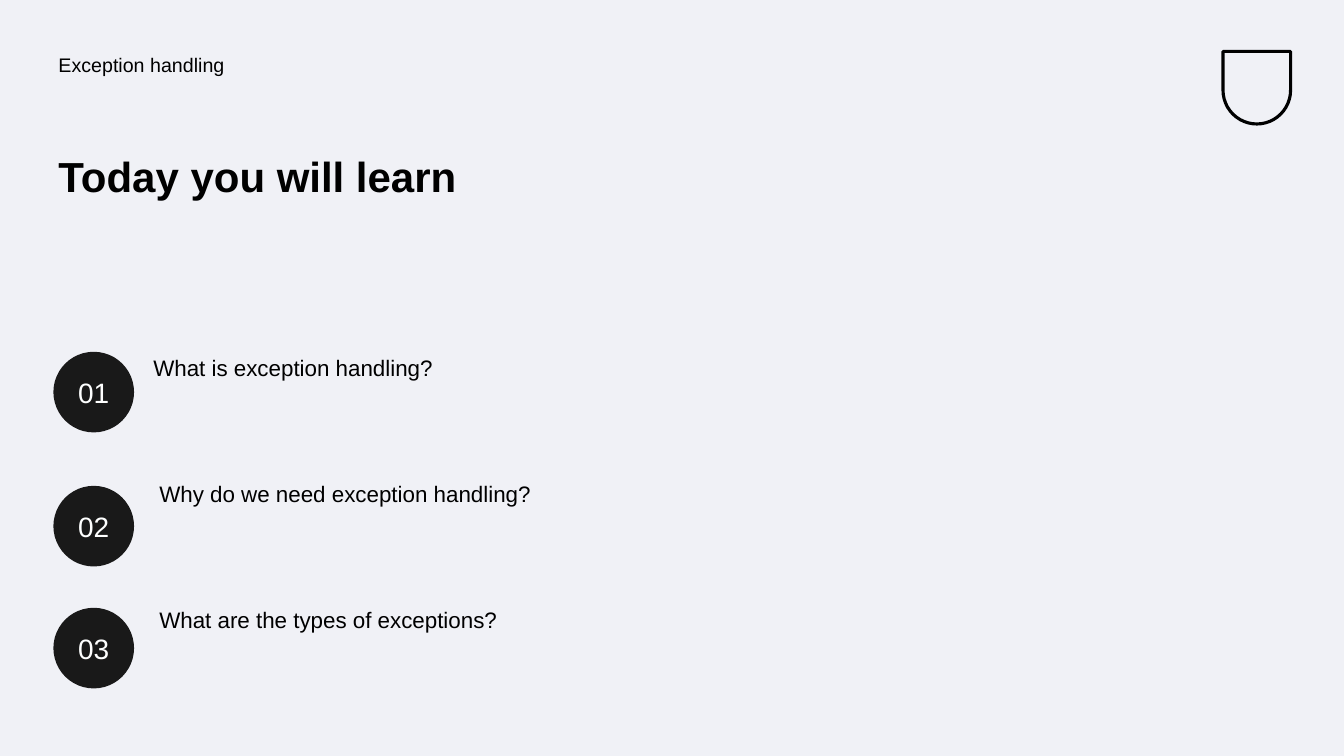
from dataclasses import dataclass

from pptx import Presentation
from pptx.dml.color import RGBColor
from pptx.enum.shapes import MSO_SHAPE as Shape
from pptx.enum.text import MSO_ANCHOR as Anchor, MSO_AUTO_SIZE as AutoSize, PP_ALIGN as Align
from pptx.oxml.ns import qn
from pptx.util import Inches, Pt

# Content
TOPIC = "Exception handling"
HEADING = "Today you will learn"
LESSONS = [
    "What is exception handling?",
    "Why do we need exception handling?",
    "What are the types of exceptions?",
]


@dataclass(frozen=True)
class Theme:
    font: str = "Arial"
    paper: str = "F0F1F6"
    ink: str = "000000"
    badge: str = "191919"
    badge_text: str = "FEFFFF"
    topic_size: int = 14
    heading_size: int = 30
    lesson_size: int = 16
    number_size: int = 20
    inset: float = 0.05


THEME = Theme()

# Grid, in inches
WIDTH, HEIGHT = 13.33, 7.5
MARGIN = 0.53
FIRST_ROW, ROW_STEP = 3.49, 1.25
LESSON_SIZE = (4.63, 0.99)
LESSON_LEFTS = [1.47, 1.53, 1.53]
BADGE_TOPS = [FIRST_ROW, 4.82, 6.03]
BADGE = 0.8


def place(shape, left, top, width, height):
    shape.left, shape.top = Inches(left), Inches(top)
    shape.width, shape.height = Inches(width), Inches(height)


def write(shape, text, size, color, bold=False, align=Align.LEFT,
          anchor=Anchor.TOP, spacing=0.9):
    frame = shape.text_frame
    frame.word_wrap = True
    frame.auto_size = AutoSize.NONE
    frame.vertical_anchor = anchor
    frame.margin_left = frame.margin_right = Inches(THEME.inset)
    frame.margin_top = frame.margin_bottom = Inches(THEME.inset)
    para = frame.paragraphs[0]
    # Plain paragraph: no indent and no bullet
    properties = para._p.get_or_add_pPr()
    properties.set("marL", "0")
    properties.set("indent", "0")
    properties.append(properties.makeelement(qn("a:buNone"), {}))
    para.alignment = align
    para.line_spacing = spacing
    para.space_before = Pt(0)
    span = para.add_run()
    span.text = text
    span.font.name = THEME.font
    span.font.size = Pt(size)
    span.font.bold = bold
    span.font.color.rgb = RGBColor.from_string(color)


def add_plain_shape(page, kind, left, top, width, height):
    shape = page.shapes.add_shape(
        kind, Inches(left), Inches(top), Inches(width), Inches(height))
    shape.shadow.inherit = False
    return shape


def add_badge(page, number, top):
    circle = add_plain_shape(page, Shape.OVAL, MARGIN, top, BADGE, BADGE)
    circle.fill.solid()
    circle.fill.fore_color.rgb = RGBColor.from_string(THEME.badge)
    circle.line.fill.background()
    write(circle, f"{number:02}", THEME.number_size, THEME.badge_text,
          align=Align.CENTER, anchor=Anchor.MIDDLE, spacing=1.0)


def add_emblem(page):
    shield = add_plain_shape(page, Shape.ROUND_2_SAME_RECTANGLE, 12.13, 0.51, 0.67, 0.72)
    shield.rotation = 180
    shield.adjustments[0] = 0.5
    shield.fill.background()
    shield.line.color.rgb = RGBColor.from_string(THEME.ink)
    shield.line.width = Pt(2.25)


def main():
    deck = Presentation()
    deck.slide_width, deck.slide_height = Inches(WIDTH), Inches(HEIGHT)
    comparison = deck.slide_layouts.get_by_name("Comparison")
    page = deck.slides.add_slide(comparison)
    page.background.fill.solid()
    page.background.fill.fore_color.rgb = RGBColor.from_string(THEME.paper)

    add_emblem(page)

    # Topic and heading
    title, topic, *lessons = page.placeholders
    place(topic, MARGIN, 0.5, 6.14, 0.5)
    write(topic, TOPIC, THEME.topic_size, THEME.ink)
    place(title, MARGIN, 1.5, 5.64, 1.49)
    write(title, HEADING, THEME.heading_size, THEME.ink, bold=True)

    # Numbered lessons
    rows = zip(lessons, LESSONS, LESSON_LEFTS, BADGE_TOPS)
    for index, (body, text, left, badge_top) in enumerate(rows):
        place(body, left, FIRST_ROW + index * ROW_STEP, *LESSON_SIZE)
        write(body, text, THEME.lesson_size, THEME.ink)
        add_badge(page, index + 1, badge_top)

    deck.save("out.pptx")


if __name__ == "__main__":
    main()
